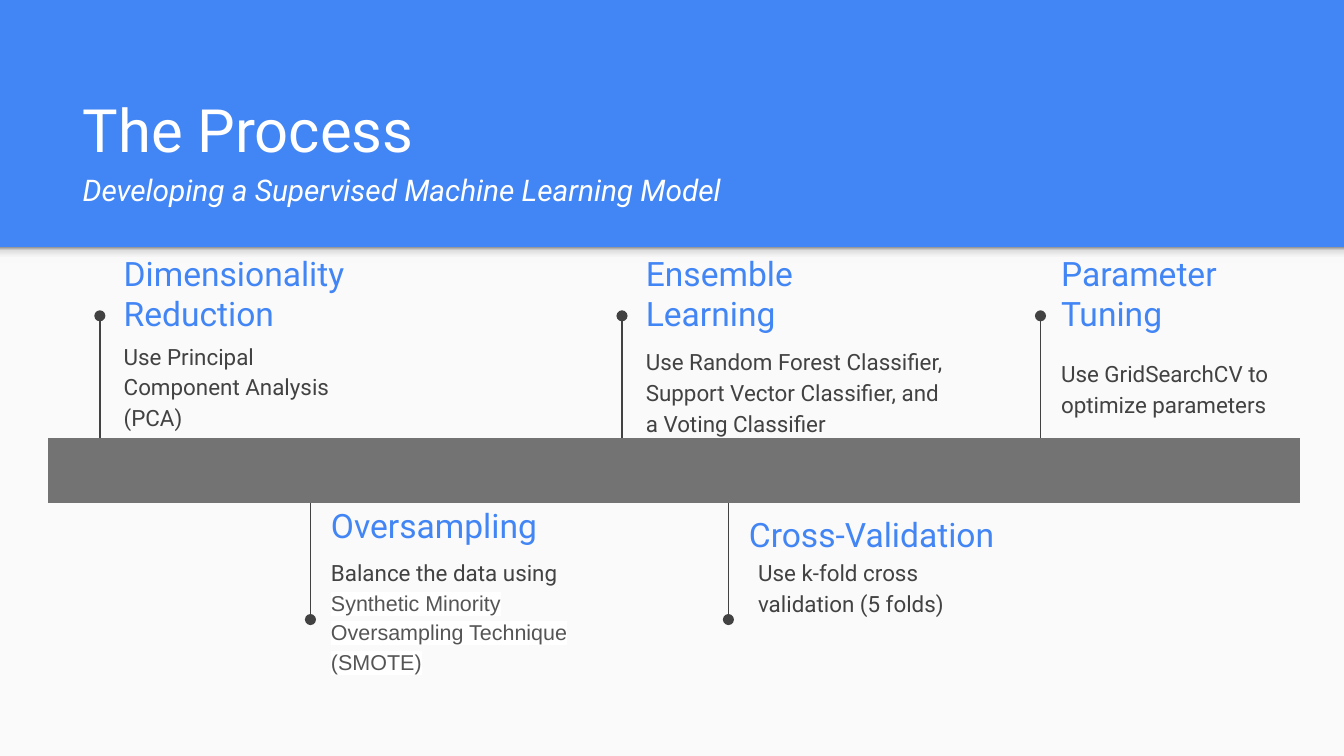
from copy import deepcopy
from lxml.etree import SubElement
from pptx import Presentation
from pptx.dml.color import RGBColor
from pptx.enum.shapes import MSO_CONNECTOR, MSO_SHAPE
from pptx.enum.text import MSO_ANCHOR
from pptx.oxml.ns import qn
from pptx.util import Inches, Pt

INK = {"blue": "4285F4", "paper": "FAFAFA", "white": "FFFFFF", "dark": "424242",
       "gray": "555555", "bar": "737373", "light": "F9F9F9", "mid": "DEDEDE",
       "shade": "999999"}
HUE = {name: RGBColor.from_string(code) for name, code in INK.items()}

deck = Presentation()
deck.slide_width = Inches(10)
deck.slide_height = deck.slide_width * 9 // 16
COL, ROW = deck.slide_width / 100, deck.slide_height / 56.25
slide = deck.slides.add_slide(deck.slide_layouts[6])
slide.background.fill.solid()
slide.background.fill.fore_color.rgb = HUE["blue"]
shapes = slide.shapes


def grid(x, y, w, h):
    return int(x * COL), int(y * ROW), int(w * COL), int(h * ROW)


def write(text, at=None, para=None, size=12, color="dark", font="Roboto",
          italic=False, mark=None, anchor=MSO_ANCHOR.TOP, lines=1.0, after=0):
    if para is None:
        frame = shapes.add_textbox(*grid(*at)).text_frame
        frame.word_wrap = True
        frame.vertical_anchor = anchor
        frame.margin_left = frame.margin_right = Inches(0.1)
        frame.margin_top = frame.margin_bottom = Inches(0.1)
        para = frame.paragraphs[0]
        para.line_spacing = lines
        para.space_after = Pt(after)
    run = para.add_run()
    run.text = text
    run.font.size = Pt(size)
    run.font.italic = italic
    run.font.color.rgb = HUE[color]
    if mark:
        glow = SubElement(run.font._element, qn("a:highlight"))
        SubElement(glow, qn("a:srgbClr")).set("val", INK[mark])
    run.font.name = font
    return para


panel = shapes.add_shape(MSO_SHAPE.RECTANGLE, *grid(0, 18.4, 100, 37.85))
panel.fill.solid()
panel.fill.fore_color.rgb = HUE["paper"]
edge = shapes.add_shape(MSO_SHAPE.RECTANGLE, *grid(0, 18.4, 100, 1.2))
edge.fill.gradient()
edge.fill.gradient_angle = 90
stops = edge._element.spPr.find(".//" + qn("a:gsLst"))
for stop in list(stops):
    stops.append(deepcopy(stop))
fade = [(0, "light"), (0.36, "light"), (0.8, "mid"), (1, "shade")]
for stop, (place, name) in zip(edge.fill.gradient_stops, fade):
    stop.position = place
    stop.color.rgb = HUE[name]
for shape in (panel, edge):
    shape.line.fill.background()
    shape.shadow.inherit = False

write("The Process", at=(5.16, 8.1, 89.9, 8.35), size=32, color="white",
      anchor=MSO_ANCHOR.BOTTOM)
sub = shapes[-1].text_frame.add_paragraph()
sub.space_before = sub.space_after = Pt(4)
write("Developing a Supervised Machine Learning Model", para=sub, size=16,
      color="white", italic=True)

steps = [
    (7.43, 23.5, "Dimensionality Reduction", (8.22, 18.65, 19.3, 6.3),
     "Use Principal Component Analysis (PCA)", (8.22, 24.2, 17.9, 6.3)),
    (23.1, 46.1, "Oversampling", (23.64, 36.2, 17.9, 5.7),
     "Balance the data using ", (23.64, 40.3, 19.8, 6.3)),
    (46.28, 23.5, "Ensemble Learning", (47.07, 18.65, 17.9, 6.3),
     "Use Random Forest Classifier, Support Vector Classifier, and a Voting Classifier",
     (47.07, 24.6, 24.6, 6.3)),
    (54.2, 46.1, "Cross-Validation", (54.74, 36.9, 21.2, 5.7),
     "Use k-fold cross validation (5 folds)", (55.42, 40.28, 19.8, 6.3)),
    (77.42, 23.5, "Parameter Tuning", (77.96, 18.95, 13.8, 5.7),
     "Use GridSearchCV to optimize parameters", (77.96, 25.5, 19.8, 6.3)),
]
for x, tip, head, top, body, low in steps:
    base = 32.6 if tip < 32.6 else 36.9
    pin = shapes.add_connector(MSO_CONNECTOR.STRAIGHT, int(x * COL), int(base * ROW),
                               int(x * COL), int(tip * ROW))
    pin.line.color.rgb = HUE["dark"]
    pin.line.width = Pt(0.75)
    SubElement(pin.line._get_or_add_ln(), qn("a:tailEnd")).set("type", "oval")
    SubElement(pin._element.spPr, qn("a:effectLst"))
    write(head, at=top, size=18, color="blue", anchor=MSO_ANCHOR.MIDDLE)
    note = write(body, at=low, lines=1.15, after=0 if head == "Oversampling" else 16)
    if head == "Oversampling":
        write("Synthetic Minority Oversampling Technique (SMOTE)", para=note,
              size=11.5, color="gray", font="Arial", mark="white")

table = shapes.add_table(1, 12, *grid(3.55, 32.6, 93.2, 4.8)).table
table.first_row = table.horz_banding = False
for cell in table.iter_cells():
    cell.fill.solid()
    cell.fill.fore_color.rgb = HUE["bar"]
    rim = cell._tc.get_or_add_tcPr()
    for spot, side in enumerate(("lnL", "lnR", "lnT", "lnB")):
        line = SubElement(rim, qn("a:" + side))
        SubElement(line, qn("a:noFill"))
        rim.insert(spot, line)

deck.save("out.pptx")
